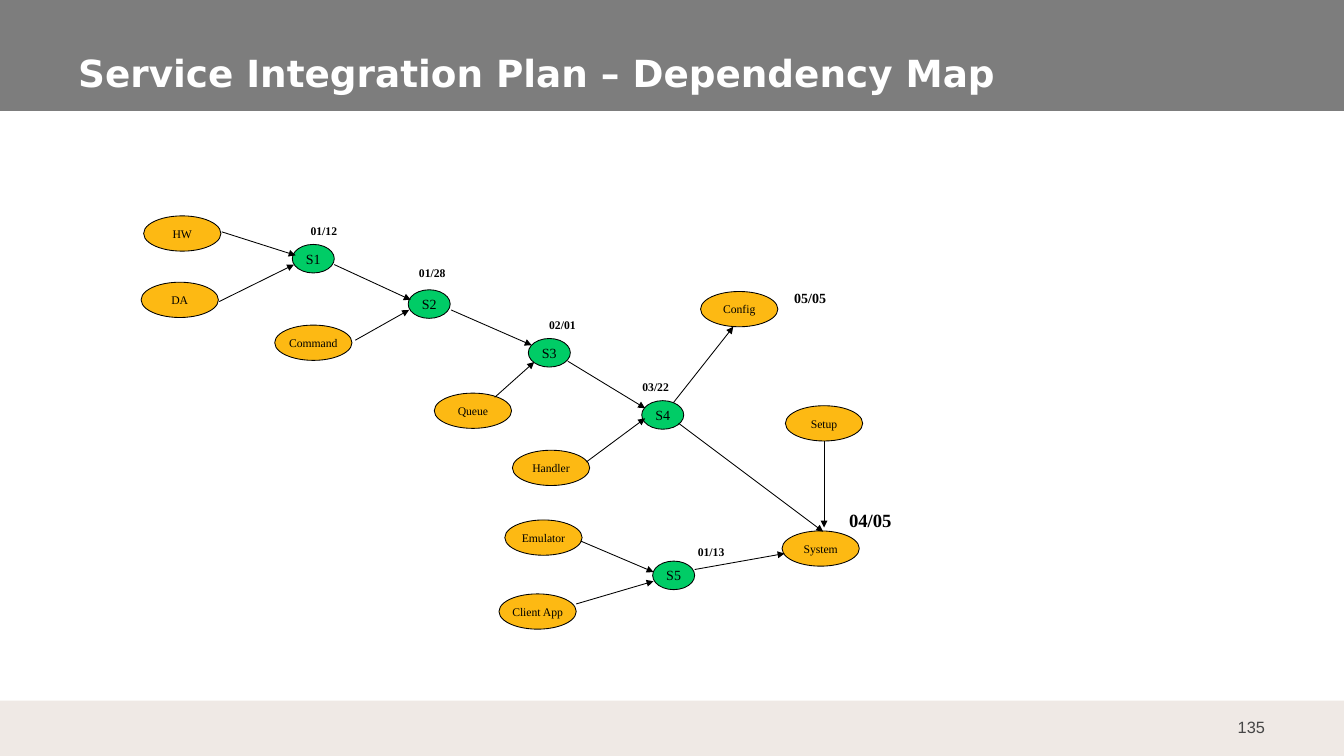
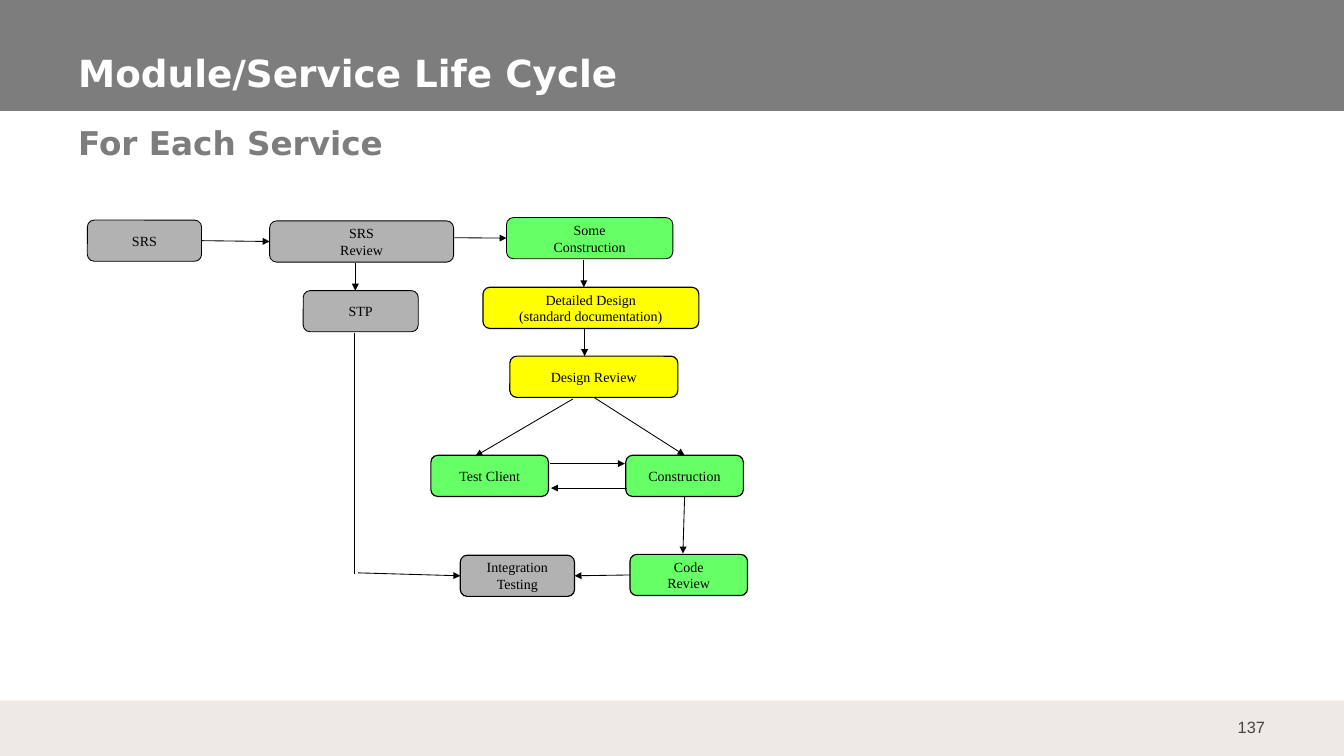
"""Build two slides: a service dependency map and a module life cycle chart."""
from dataclasses import dataclass

from lxml.etree import SubElement
from pptx import Presentation
from pptx.dml.color import RGBColor
from pptx.enum.shapes import MSO_CONNECTOR as Line
from pptx.enum.shapes import MSO_SHAPE as Preset
from pptx.enum.text import MSO_ANCHOR as Anchor
from pptx.enum.text import PP_ALIGN as Align
from pptx.oxml.ns import qn
from pptx.util import Inches, Pt

WHITE = RGBColor(0xFF, 0xFF, 0xFF)
BLACK = RGBColor(0x00, 0x00, 0x00)
BAND_GREY = RGBColor(0x7D, 0x7D, 0x7D)
FOOTER_BEIGE = RGBColor(0xEF, 0xE9, 0xE5)
NUMBER_GREY = RGBColor(0x46, 0x46, 0x46)
AMBER = RGBColor(0xFD, 0xB9, 0x13)
SERVICE_GREEN = RGBColor(0x00, 0xCC, 0x66)
STEP_GREY = RGBColor(0xB2, 0xB2, 0xB2)
STEP_YELLOW = RGBColor(0xFF, 0xFF, 0x00)
STEP_GREEN = RGBColor(0x66, 0xFF, 0x66)

HEADING_FONT = "DejaVu Sans"
DIAGRAM_FONT = "Times New Roman"
NUMBER_FONT = "Arial"
PART_SIZE = (0.92, 0.42)
SERVICE_SIZE = (0.5, 0.34)
STEP_HEIGHT = 0.49
SNAP_X, SNAP_Y = 0.06, 0.04


@dataclass(frozen=True)
class Node:
    text: str
    left: float
    top: float


@dataclass(frozen=True)
class DateLabel(Node):
    width: float = 0.69
    height: float = 0.27
    size: int = 10


@dataclass(frozen=True)
class Step(Node):
    width: float
    fill: RGBColor
    border: float = 1


@dataclass(frozen=True)
class Arrow:
    x1: float
    y1: float
    x2: float
    y2: float
    head: bool = True


PARTS = [
    Node("HW", 1.71, 2.57), Node("DA", 1.68, 3.36), Node("Command", 3.27, 3.87),
    Node("Queue", 5.17, 4.68), Node("Handler", 6.1, 5.36), Node("Emulator", 6.01, 6.19),
    Node("Client App", 5.94, 7.07), Node("Config", 8.34, 3.47),
    Node("Setup", 9.35, 4.83), Node("System", 9.31, 6.32),
]
SERVICES = [
    Node("S1", 3.48, 2.91), Node("S2", 4.86, 3.45), Node("S3", 6.29, 4.03),
    Node("S4", 7.64, 4.77), Node("S5", 7.77, 6.68),
]
DATES = [
    DateLabel("01/12", 3.51, 2.61), DateLabel("01/28", 4.8, 3.11),
    DateLabel("02/01", 6.35, 3.73), DateLabel("03/22", 7.46, 4.47),
    DateLabel("01/13", 8.12, 6.44), DateLabel("04/05", 9.89, 6.01, 0.94, 0.37, 16),
    DateLabel("05/05", 9.26, 3.4, 0.77, 0.3, 12),
]
DEPENDENCIES = [
    Arrow(2.64, 2.76, 3.52, 3.04), Arrow(2.61, 3.59, 3.5, 3.15),
    Arrow(3.98, 3.15, 4.89, 3.57), Arrow(4.23, 4.05, 4.87, 3.69),
    Arrow(5.37, 3.69, 6.33, 4.11), Arrow(5.89, 4.73, 6.36, 4.31),
    Arrow(6.76, 4.3, 7.68, 4.86), Arrow(6.98, 5.5, 7.68, 4.98),
    Arrow(6.91, 6.44, 7.78, 6.81), Arrow(6.86, 7.19, 7.78, 6.92),
    Arrow(8.27, 6.78, 9.34, 6.59), Arrow(8.08, 5.04, 9.8, 6.33),
    Arrow(9.81, 5.25, 9.81, 6.28), Arrow(8.02, 4.79, 8.73, 3.89),
]
STEPS = [
    Step("SRS", 1.04, 2.62, 1.36, STEP_GREY, 0.75),
    Step("SRS\nReview", 3.21, 2.63, 2.19, STEP_GREY, 0.75),
    Step("STP", 3.61, 3.46, 1.37, STEP_GREY, 0.75),
    Step("Some\nConstruction", 6.03, 2.59, 1.98, STEP_GREEN, 0.75),
    Step("Detailed Design\n(standard documentation)", 5.75, 3.42, 2.57, STEP_YELLOW),
    Step("Design Review", 6.07, 4.24, 2, STEP_YELLOW),
    Step("Test Client", 5.13, 5.42, 1.4, STEP_GREEN),
    Step("Construction", 7.45, 5.42, 1.4, STEP_GREEN),
    Step("Code\nReview", 7.5, 6.6, 1.4, STEP_GREEN),
    Step("Integration\nTesting", 5.48, 6.61, 1.36, STEP_GREY),
]
FLOWS = [
    Arrow(2.41, 2.86, 3.16, 2.86), Arrow(5.41, 2.83, 6.01, 2.83),
    Arrow(4.23, 3.13, 4.23, 3.46), Arrow(6.95, 3.09, 6.95, 3.42),
    Arrow(6.96, 3.91, 6.96, 4.24), Arrow(6.82, 4.75, 5.66, 5.43),
    Arrow(7.08, 4.73, 8.12, 5.43), Arrow(6.55, 5.52, 7.44, 5.52),
    Arrow(7.46, 5.81, 6.56, 5.81), Arrow(8.13, 5.91, 8.13, 6.59),
    Arrow(4.22, 3.97, 4.22, 6.83, head=False), Arrow(4.26, 6.82, 5.49, 6.82),
    Arrow(7.48, 6.83, 6.87, 6.83),
]


def write(box, text: str, *, size: float, font: str = DIAGRAM_FONT,
          color: RGBColor = BLACK, bold: bool = False, align=Align.CENTER,
          anchor=Anchor.MIDDLE, wrap: bool = False, insets=(0.1, 0.05)) -> None:
    frame = box.text_frame
    frame.word_wrap = wrap
    frame.vertical_anchor = anchor
    frame.margin_left = frame.margin_right = Inches(insets[0])
    frame.margin_top = frame.margin_bottom = Inches(insets[1])
    for index, words in enumerate(text.split("\n")):
        para = frame.add_paragraph() if index else frame.paragraphs[0]
        para.alignment = align
        span = para.add_run()
        span.text = words
        span.font.size = Pt(size)
        span.font.name = font
        span.font.bold = bold
        span.font.color.rgb = color


def add_label(page, text: str, left: float, top: float, width: float,
              height: float, **style) -> None:
    box = page.shapes.add_textbox(Inches(left), Inches(top), Inches(width), Inches(height))
    write(box, text, **style)


def add_box(page, preset, left: float, top: float, width: float, height: float,
            fill: RGBColor, border: float = 0):
    box = page.shapes.add_shape(preset, Inches(left), Inches(top),
                                Inches(width), Inches(height))
    box.shadow.inherit = False
    box.fill.solid()
    box.fill.fore_color.rgb = fill
    if border:
        box.line.color.rgb = BLACK
        box.line.width = Pt(border)
    else:
        box.line.fill.background()
    return box


def join_near(connect, x: float, y: float, boxes) -> None:
    for box in boxes:
        middle_x = box.left + box.width // 2
        middle_y = box.top + box.height // 2
        sides = [(middle_x, box.top), (box.left, middle_y),
                 (middle_x, box.top + box.height), (box.left + box.width, middle_y)]
        for site, (side_x, side_y) in enumerate(sides):
            if (abs(side_x - Inches(x)) <= Inches(SNAP_X)
                    and abs(side_y - Inches(y)) <= Inches(SNAP_Y)):
                connect(box, site)
                return


def add_arrow(page, arrow: Arrow, boxes=()) -> None:
    link = page.shapes.add_connector(Line.STRAIGHT, Inches(arrow.x1), Inches(arrow.y1),
                                     Inches(arrow.x2), Inches(arrow.y2))
    link.line.color.rgb = BLACK
    link.line.width = Pt(0.75)
    if arrow.head:
        SubElement(link.line._get_or_add_ln(), qn("a:tailEnd"), type="triangle")
    SubElement(link._element.spPr, qn("a:effectLst"))
    join_near(link.begin_connect, arrow.x1, arrow.y1, boxes)
    join_near(link.end_connect, arrow.x2, arrow.y2, boxes)


def add_page(deck, title: str, number: int):
    page = deck.slides.add_slide(deck.slide_layouts[6])
    add_box(page, Preset.RECTANGLE, 0, 0, 16, 1.32, BAND_GREY)
    add_box(page, Preset.RECTANGLE, 0, 8.34, 16, 0.66, FOOTER_BEIGE)
    add_label(page, str(number), 14.4, 8.42, 0.8, 0.48, size=14, font=NUMBER_FONT,
              color=NUMBER_GREY, align=Align.RIGHT, wrap=True, insets=(0.14, 0.07))
    add_label(page, title, 0.79, 0.46, 14.21, 0.74, size=32, font=HEADING_FONT,
              color=WHITE, bold=True, align=Align.LEFT, anchor=Anchor.BOTTOM,
              wrap=True, insets=(0.14, 0.07))
    return page


def draw_dependency_map(deck) -> None:
    page = add_page(deck, "Service Integration Plan – Dependency Map", 135)
    for nodes, extent, fill, size in ((PARTS, PART_SIZE, AMBER, 10),
                                      (SERVICES, SERVICE_SIZE, SERVICE_GREEN, 12)):
        for node in nodes:
            oval = add_box(page, Preset.OVAL, node.left, node.top, *extent, fill, 0.75)
            write(oval, node.text, size=size)
    for arrow in DEPENDENCIES:
        add_arrow(page, arrow)
    for date in DATES:
        add_label(page, date.text, date.left, date.top, date.width, date.height,
                  size=date.size, bold=True)


def draw_life_cycle(deck) -> None:
    page = add_page(deck, "Module/Service Life Cycle", 137)
    add_label(page, "For Each Service", 0.79, 1.39, 14.17, 1.59, size=28,
              font=HEADING_FONT, color=BAND_GREY, bold=True, align=Align.LEFT,
              anchor=Anchor.TOP, wrap=True, insets=(0.14, 0.07))
    boxes = []
    for step in STEPS:
        box = add_box(page, Preset.ROUNDED_RECTANGLE, step.left, step.top,
                      step.width, STEP_HEIGHT, step.fill, step.border)
        write(box, step.text, size=12)
        boxes.append(box)
    for arrow in FLOWS:
        add_arrow(page, arrow, boxes)


def main() -> None:
    deck = Presentation()
    deck.slide_width = Inches(16)
    deck.slide_height = Inches(9)
    draw_dependency_map(deck)
    draw_life_cycle(deck)
    deck.save("out.pptx")


if __name__ == "__main__":
    main()
